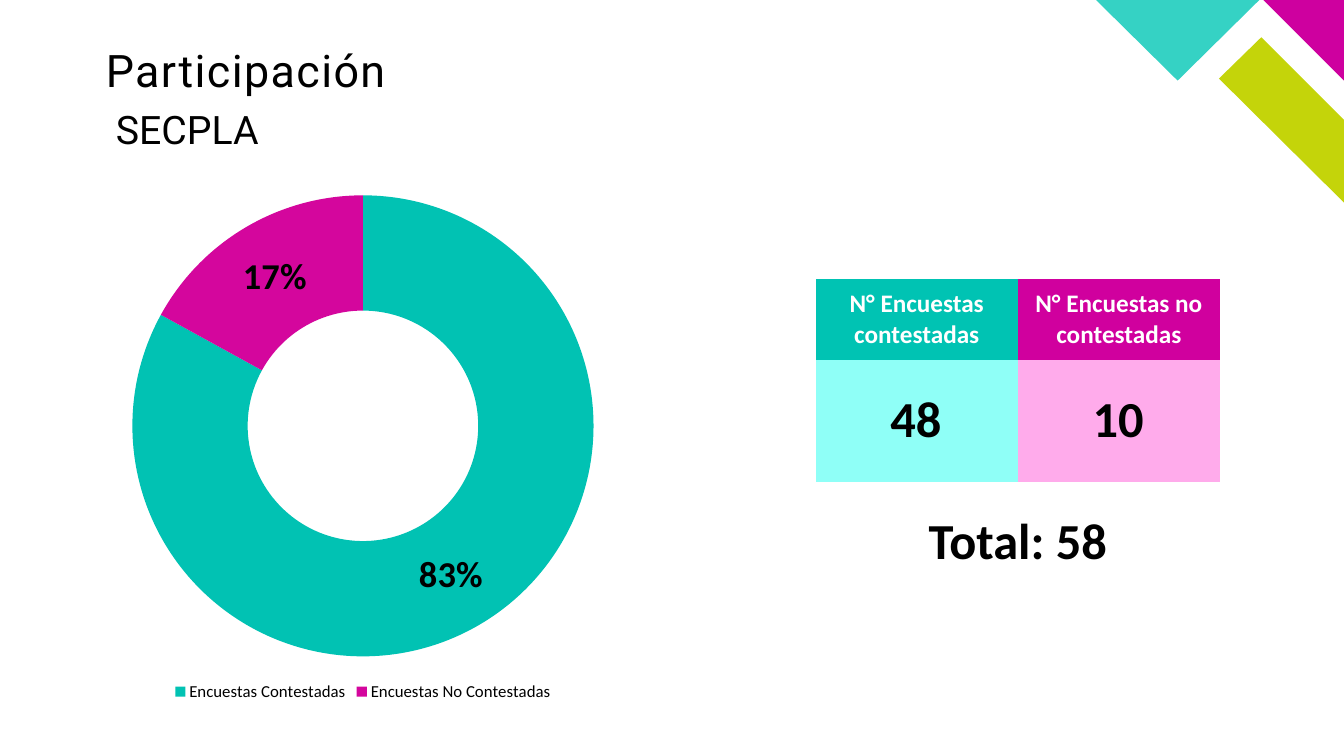
from lxml import etree
from pptx import Presentation
from pptx.chart.data import CategoryChartData
from pptx.dml.color import RGBColor
from pptx.enum.chart import XL_CHART_TYPE as ChartType, XL_LEGEND_POSITION as LegendPos
from pptx.enum.text import MSO_ANCHOR as Anchor, PP_ALIGN as Align
from pptx.oxml.ns import qn
from pptx.util import Inches, Pt

BLACK = RGBColor(0x00, 0x00, 0x00)
WHITE = RGBColor(0xFF, 0xFF, 0xFF)
TEAL = RGBColor(0x00, 0xC3, 0xB3)
MAGENTA = RGBColor(0xD0, 0x00, 0x9E)
PALE_TEAL = RGBColor(0x8F, 0xFF, 0xF7)
PALE_PINK = RGBColor(0xFF, 0xAB, 0xEB)
SLICE_TEAL = RGBColor(0x01, 0xC2, 0xB3)
SLICE_MAGENTA = RGBColor(0xD4, 0x06, 0x9D)
CORNER_LIME = RGBColor(0xC4, 0xD4, 0x0A)
CORNER_MAGENTA = RGBColor(0xCE, 0x00, 0x9F)
CORNER_TEAL = RGBColor(0x35, 0xD2, 0xC4)
NO_STYLE = "{2D5ABB26-0587-4C30-8999-92F81FD0307C}"

TITLE = "Participación"
AREA = "SECPLA"
TOTAL = "Total: 58"
SHARES = [
    ("Encuestas Contestadas", 0.83, SLICE_TEAL),
    ("Encuestas No Contestadas", 0.17, SLICE_MAGENTA),
]
# Each column: heading, heading fill, count, count fill
COLUMNS = [
    ("N° Encuestas contestadas", TEAL, "48", PALE_TEAL),
    ("N° Encuestas no contestadas", MAGENTA, "10", PALE_PINK),
]
CORNER = [
    (CORNER_LIME, [(13.33, 2.01), (13.33, 1.19), (12.51, 0.37), (12.09, 0.78)]),
    (CORNER_MAGENTA, [(13.33, 0.8), (13.33, 0), (12.53, 0)]),
    (CORNER_TEAL, [(10.87, 0), (11.68, 0.8), (12.49, 0)]),
]
TABLE_LEFT, TABLE_TOP, TABLE_WIDTH = 8.09, 2.77, 4.01
HEADING_HEIGHT, COUNT_HEIGHT = 0.8, 1.21
COUNT_WIDTH = 1.99


def place(sp, left, top, width, height):
    sp.left, sp.top = Inches(left), Inches(top)
    sp.width, sp.height = Inches(width), Inches(height)


def style(font, size, color, bold=False, name="Calibri"):
    font.name, font.size, font.bold = name, Pt(size), bold
    font.color.rgb = color


def write(tf, text, size, font, color=BLACK, bold=False, align=Align.LEFT):
    p = tf.paragraphs[0]
    p.alignment = align
    p.space_before = Pt(0)
    r = p.add_run()
    r.text = text
    style(r.font, size, color, bold, font)
    return p, r


def write_placeholder(sp, anchor, *args, **kwargs):
    """Fill a placeholder with one line that has no bullet or indent."""
    tf = sp.text_frame
    tf.word_wrap = True
    tf.vertical_anchor = anchor
    p, r = write(tf, *args, **kwargs)
    p.line_spacing = 0.9
    pPr = p._p.get_or_add_pPr()
    pPr.set("marL", "0")
    pPr.set("indent", "0")
    etree.SubElement(pPr, qn("a:buNone"))
    return tf, r


def write_figure(sp, text):
    write_placeholder(sp, Anchor.MIDDLE, text, 36, "Calibri",
                      bold=True, align=Align.CENTER)


def add_corner(slide):
    for color, points in CORNER:
        (x, y), *rest = [(Inches(x), Inches(y)) for x, y in points]
        builder = slide.shapes.build_freeform(x, y)
        builder.add_line_segments(rest, close=True)
        sp = builder.convert_to_shape()
        sp.shadow.inherit = False
        sp.fill.solid()
        sp.fill.fore_color.rgb = color
        sp.line.fill.background()


def add_counts_table(slide):
    """Add the coloured grid behind the placeholders that hold the counts."""
    frame = slide.shapes.add_table(
        2, len(COLUMNS), Inches(TABLE_LEFT), Inches(TABLE_TOP),
        Inches(TABLE_WIDTH), Inches(HEADING_HEIGHT + COUNT_HEIGHT))
    slide.shapes._spTree.insert(2, frame._element)
    table = frame.table
    table.first_row = table.horz_banding = False
    table._tbl.tblPr.find(qn("a:tableStyleId")).text = NO_STYLE
    table.rows[0].height = Inches(HEADING_HEIGHT)
    table.rows[1].height = Inches(COUNT_HEIGHT)
    for j, (heading, heading_fill, _, count_fill) in enumerate(COLUMNS):
        for i, fill in enumerate((heading_fill, count_fill)):
            cell = table.cell(i, j)
            cell.fill.solid()
            cell.fill.fore_color.rgb = fill
        cell = table.cell(0, j)
        cell.vertical_anchor = Anchor.MIDDLE
        write(cell.text_frame, heading, 18, "Calibri", WHITE, True, Align.CENTER)


def add_shares_chart(slide):
    data = CategoryChartData(number_format="0%")
    data.categories = [name for name, _, _ in SHARES]
    data.add_series("Series 1", [value for _, value, _ in SHARES])
    chart = slide.shapes.add_chart(
        ChartType.DOUGHNUT, Inches(1), Inches(1.8), Inches(5.2), Inches(5.2), data).chart
    style(chart.font, 18, WHITE)
    chart.has_title = False
    chart.has_legend = True
    chart.legend.position = LegendPos.BOTTOM
    chart.legend.include_in_layout = False
    style(chart.legend.font, 12, BLACK)

    plot = chart.plots[0]
    plot.vary_by_categories = True
    series = plot.series[0]
    for i, (_, _, color) in enumerate(SHARES):
        fmt = series.points[i].format
        fmt.fill.solid()
        fmt.fill.fore_color.rgb = color
        fmt.line.fill.background()
    labels = series.data_labels
    labels.show_value = True
    labels.show_percentage = False
    labels.number_format = "0%"
    labels.number_format_is_linked = False
    style(labels.font, 26, BLACK, True)


def main():
    prs = Presentation()
    prs.slide_width, prs.slide_height = Inches(13.33), Inches(7.5)
    slide = prs.slides.add_slide(prs.slide_layouts[4])
    title, area, total, *counts = slide.placeholders

    add_corner(slide)
    add_counts_table(slide)

    place(title, 1.05, 0.48, 5.61, 0.67)
    tf, r = write_placeholder(title, Anchor.TOP, TITLE, 32, "Roboto")
    tf.margin_left = tf.margin_top = tf.margin_right = tf.margin_bottom = 0
    r.font._element.set("spc", "100")

    place(area, 1.05, 1.05, 9.78, 0.96)
    write_placeholder(area, Anchor.TOP, AREA, 28, "Roboto")

    count_top = TABLE_TOP + HEADING_HEIGHT
    column_width = TABLE_WIDTH / len(COLUMNS)
    for j, (sp, column) in enumerate(zip(counts, COLUMNS)):
        place(sp, TABLE_LEFT + j * column_width, count_top, COUNT_WIDTH, COUNT_HEIGHT)
        write_figure(sp, column[2])
    place(total, TABLE_LEFT, count_top + COUNT_HEIGHT, TABLE_WIDTH, COUNT_HEIGHT)
    write_figure(total, TOTAL)

    add_shares_chart(slide)
    prs.save("out.pptx")


if __name__ == "__main__":
    main()
